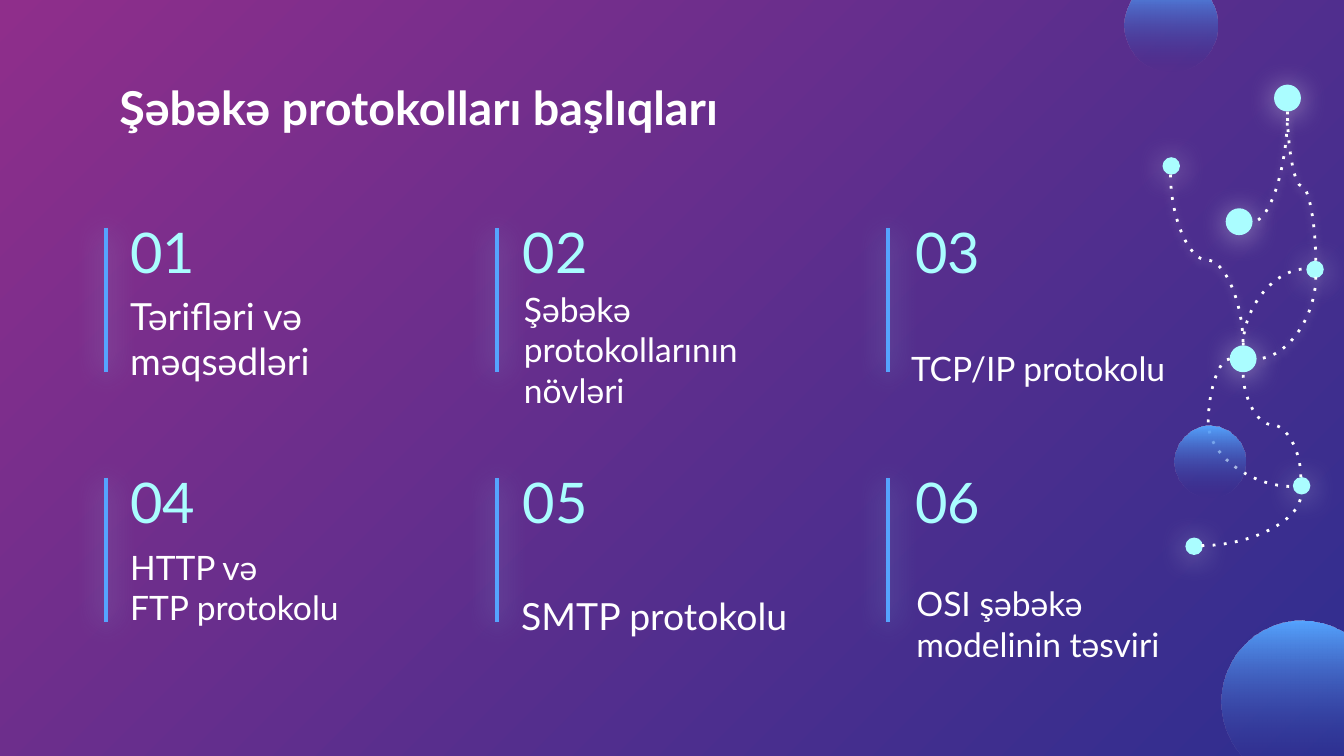
from lxml.etree import SubElement
from pptx import Presentation
from pptx.dml.color import RGBColor
from pptx.enum.shapes import MSO_CONNECTOR, MSO_SHAPE
from pptx.enum.text import MSO_ANCHOR
from pptx.oxml.ns import qn
from pptx.util import Inches, Pt

WHITE = RGBColor(0xFF, 0xFF, 0xFF)
AQUA = RGBColor(0xAA, 0xFD, 0xFF)
BLUE = RGBColor(0x55, 0xA4, 0xFF)
INDIGO = RGBColor(0x2E, 0x2E, 0x8F)
MAGENTA = RGBColor(0x8F, 0x2E, 0x8B)
FONT = "Lato"

SLIDE_WIDTH = 10
SLIDE_HEIGHT = SLIDE_WIDTH * 9 / 16
COLUMNS = 3
COLUMN_STEP, BAR_STEP, ROW_STEP = 2.92, 2.91, 1.86

# Caption paragraphs, size, and offset and width of the caption in its cell
TOPICS = [
    (["Tərifləri və məqsədləri"], 20, 0, 0.76, 2.81),
    (["Şəbəkə protokollarının növləri"], 18, 0.01, 0.96, 2.52),
    (["TCP/IP protokolu"], 18, -0.03, 0.80, 2.52),
    (["HTTP və", "FTP protokolu"], 18, 0, 0.72, 2.52),
    (["SMTP protokolu"], 20, -0.01, 0.80, 2.52),
    (["OSI şəbəkə modelinin təsviri"], 18, 0.01, 0.99, 2.52),
]

# Network positions are relative to the network's left top corner (8.65, 0.63)
NODES = [(0.47, 0.92, 0.2), (0.5, 1.94, 0.2), (0, 0.54, 0.13), (1.07, 1.31, 0.13),
         (0.83, 0, 0.2), (0.97, 2.92, 0.13), (0.17, 3.37, 0.13)]

# Start, end, leaves vertically, bend position (None for a quarter curve), glows
LINKS = [
    ((0.6, 1.94), (1.07, 1.37), True, None, False),
    ((0.06, 0.67), (0.6, 1.94), True, 0.5, True),
    ((1.14, 1.31), (0.93, 0.2), True, 0.5, True),
    ((1.14, 1.43), (0.7, 2.04), True, None, True),
    ((0.93, 0.2), (0.67, 1.02), True, None, True),
    ((0.5, 2.04), (0.97, 2.99), False, -0.34, False),
    ((0.29, 3.43), (1.03, 3.05), False, None, False),
    ((1.03, 2.92), (0.6, 2.14), True, 0.5, False),
]

SPHERES = [(8.37, -0.16, 0.69), (9.09, 4.62, 1.2), (8.74, 3.17, 0.53)]


def set_glow(shape, color=None, blur=15.8):
    """Replace the default shadow by a soft glow, or by none."""
    effects = SubElement(shape._element.spPr, qn("a:effectLst"))
    if color is not None:
        shadow = SubElement(effects, qn("a:outerShdw"), blurRad=str(Pt(blur)),
                            dist=str(Pt(1.5)), dir="5400000", algn="bl", rotWithShape="0")
        rgb = SubElement(shadow, qn("a:srgbClr"), val=str(color))
        SubElement(rgb, qn("a:alpha"), val="50000")


def set_gradient(fill, first, last, angle):
    fill.gradient()
    fill.gradient_angle = angle
    for stop, color in zip(fill.gradient_stops, (first, last)):
        stop.color.rgb = color
    fill.gradient_stops[0].position = 0
    fill.gradient_stops[1].position = 1


def add_text(slide, left, top, width, height, paragraphs, size, color, anchor, bold=False):
    box = slide.shapes.add_textbox(Inches(left), Inches(top), Inches(width), Inches(height))
    frame = box.text_frame
    frame.word_wrap = True
    frame.vertical_anchor = anchor
    frame.margin_left = frame.margin_right = Inches(0.1)
    frame.margin_top = frame.margin_bottom = Inches(0.1)
    for index, text in enumerate(paragraphs):
        paragraph = frame.add_paragraph() if index else frame.paragraphs[0]
        run = paragraph.add_run()
        run.text = text
        run.font.name = FONT
        run.font.size = Pt(size)
        run.font.bold = bold
        run.font.color.rgb = color


def add_circle(slide, left, top, diameter):
    circle = slide.shapes.add_shape(MSO_SHAPE.OVAL, Inches(left), Inches(top),
                                    Inches(diameter), Inches(diameter))
    circle.line.fill.background()
    return circle


def add_curve(slide, start, end, vertical, bend, glows):
    """Curved dotted link, turned so that it leaves its start in the right direction."""
    (x1, y1), (x2, y2) = start, end
    dx, dy = x2 - x1, y2 - y1
    width, height = (abs(dy), abs(dx)) if vertical else (abs(dx), abs(dy))
    if vertical:
        rotation, flipped = (90 if dx < 0 else 270), dx * dy > 0
    else:
        rotation, flipped = (180 if dy < 0 else 0), dy < 0
    left, top = (x1 + x2 - width) / 2, (y1 + y2 - height) / 2
    curve = slide.shapes.add_connector(MSO_CONNECTOR.CURVE, Inches(left), Inches(top),
                                       Inches(left + width), Inches(top + height))
    properties = curve._element.spPr
    transform = properties.find(qn("a:xfrm"))
    transform.set("rot", str(rotation * 60000))
    if flipped:
        transform.set("flipH", "1")
    geometry = properties.find(qn("a:prstGeom"))
    if bend is None:
        geometry.set("prst", "curvedConnector2")
    else:
        SubElement(geometry.find(qn("a:avLst")), qn("a:gd"), name="adj1",
                   fmla=f"val {round(bend * 100000)}")
    curve.line.color.rgb = WHITE
    curve.line.width = Pt(1.5)
    SubElement(properties.find(qn("a:ln")), qn("a:prstDash"), val="dot")
    set_glow(curve, WHITE if glows else None, 4.5)


def add_topics(slide, left, top):
    """Grid of numbered topics, each with a bar at its left."""
    for index, (paragraphs, size, dx, dy, width) in enumerate(TOPICS):
        row, column = divmod(index, COLUMNS)
        x, y = left + 0.08 + column * COLUMN_STEP, top + row * ROW_STEP
        add_text(slide, x, y, 1.12, 0.49, [f"{index + 1:02}"], 30, AQUA, MSO_ANCHOR.MIDDLE)
        add_text(slide, x + dx, y + dy, width, 0.57, paragraphs, size, WHITE,
                 MSO_ANCHOR.BOTTOM)
        bar_x = Inches(left + column * BAR_STEP)
        bar = slide.shapes.add_connector(MSO_CONNECTOR.STRAIGHT, bar_x, Inches(y + 0.08),
                                         bar_x, Inches(y + 1.15))
        bar.line.color.rgb = BLUE
        bar.line.width = Pt(2.25)
        set_glow(bar, AQUA)


def add_network(slide, left, top):
    """Glowing nodes joined by dotted curves."""
    for x, y, diameter in NODES:
        node = add_circle(slide, left + x, top + y, diameter)
        node.fill.solid()
        node.fill.fore_color.rgb = AQUA
        set_glow(node, WHITE)
    for (x1, y1), (x2, y2), vertical, bend, glows in LINKS:
        add_curve(slide, (left + x1, top + y1), (left + x2, top + y2), vertical, bend, glows)


def add_sphere(slide, left, top, diameter):
    """Blue circle that fades out downwards."""
    sphere = add_circle(slide, left, top, diameter)
    sphere.shadow.inherit = False
    set_gradient(sphere.fill, BLUE, INDIGO, 270)
    last_color = list(sphere._element.spPr.iter(qn("a:srgbClr")))[-1]
    SubElement(last_color, qn("a:alpha"), val="0")


def main():
    presentation = Presentation()
    presentation.slide_width = Inches(SLIDE_WIDTH)
    presentation.slide_height = Inches(SLIDE_HEIGHT)
    slide = presentation.slides.add_slide(presentation.slide_layouts[6])
    set_gradient(slide.background.fill, MAGENTA, INDIGO, 315)

    add_text(slide, 0.79, 0.49, 8.43, 0.63, ["Şəbəkə protokolları başlıqları"], 25, WHITE,
             MSO_ANCHOR.TOP, bold=True)
    add_topics(slide, 0.79, 1.62)
    add_network(slide, 8.65, 0.63)
    for sphere in SPHERES:
        add_sphere(slide, *sphere)
    presentation.save("out.pptx")


if __name__ == "__main__":
    main()
